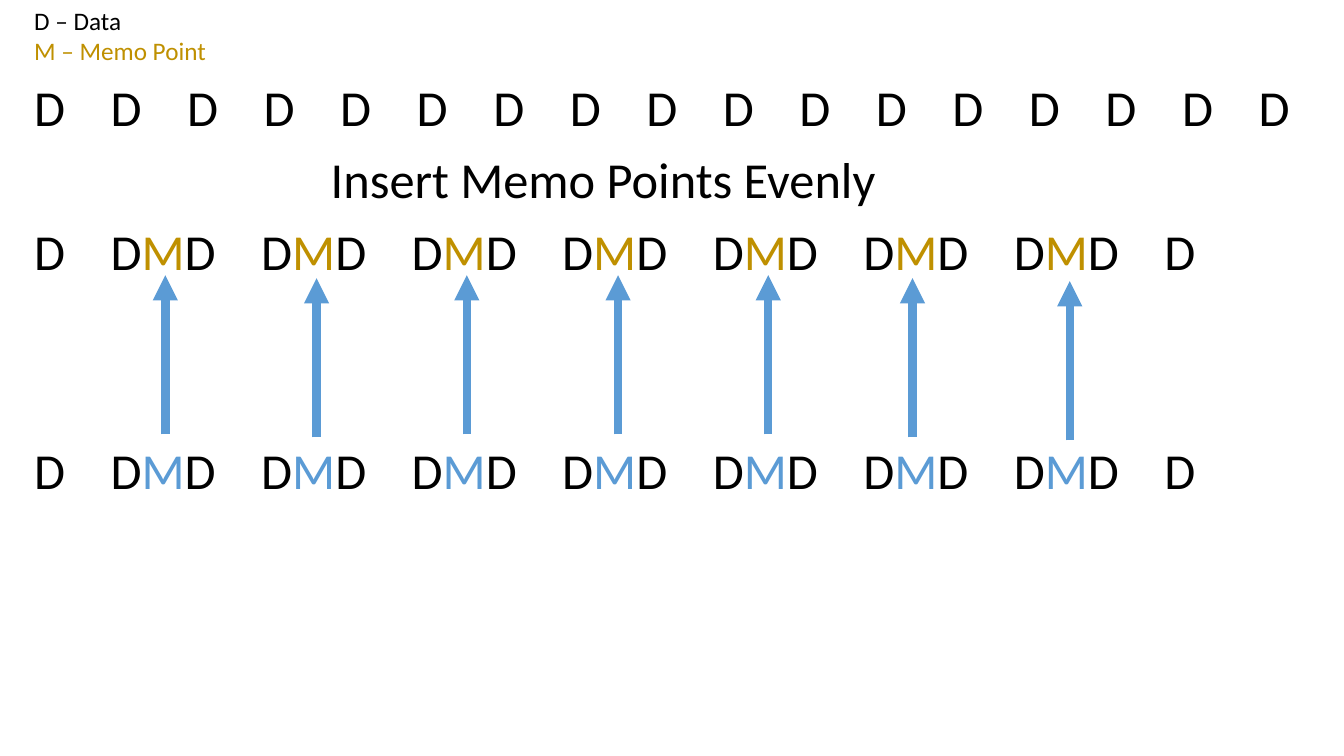
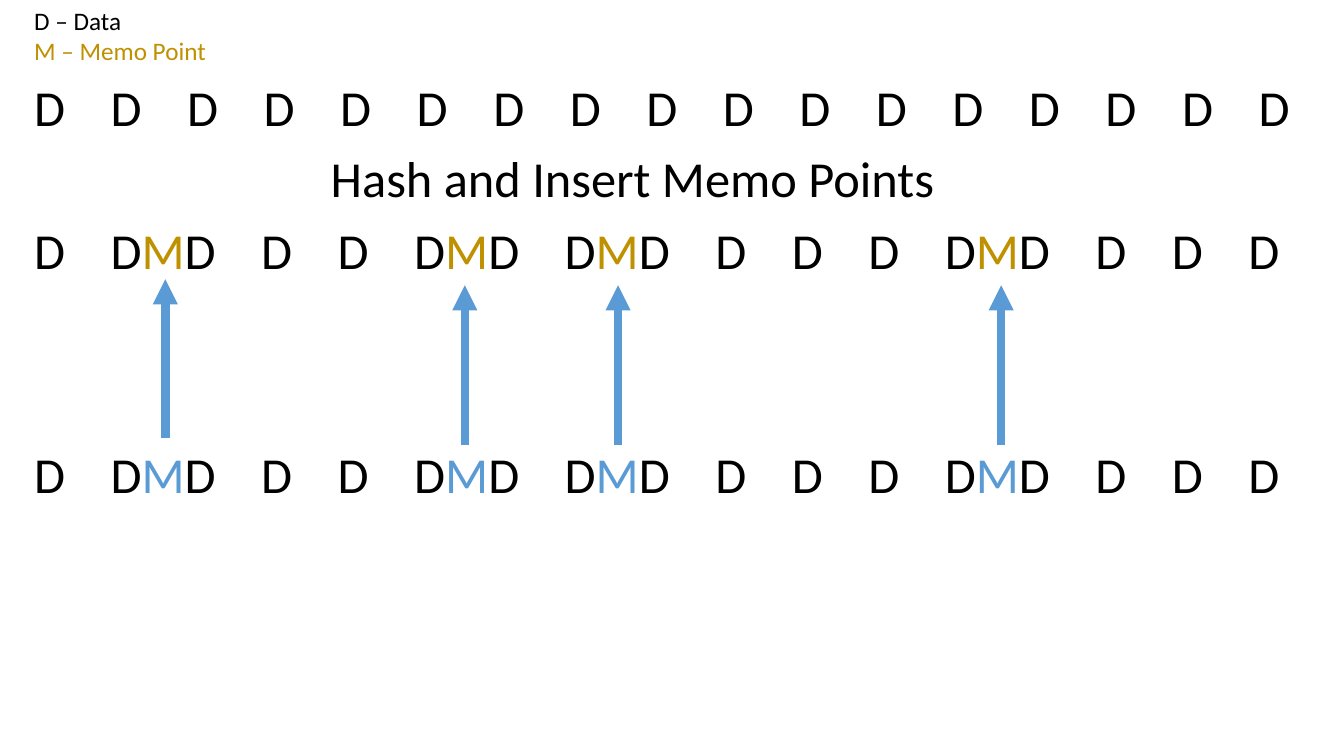
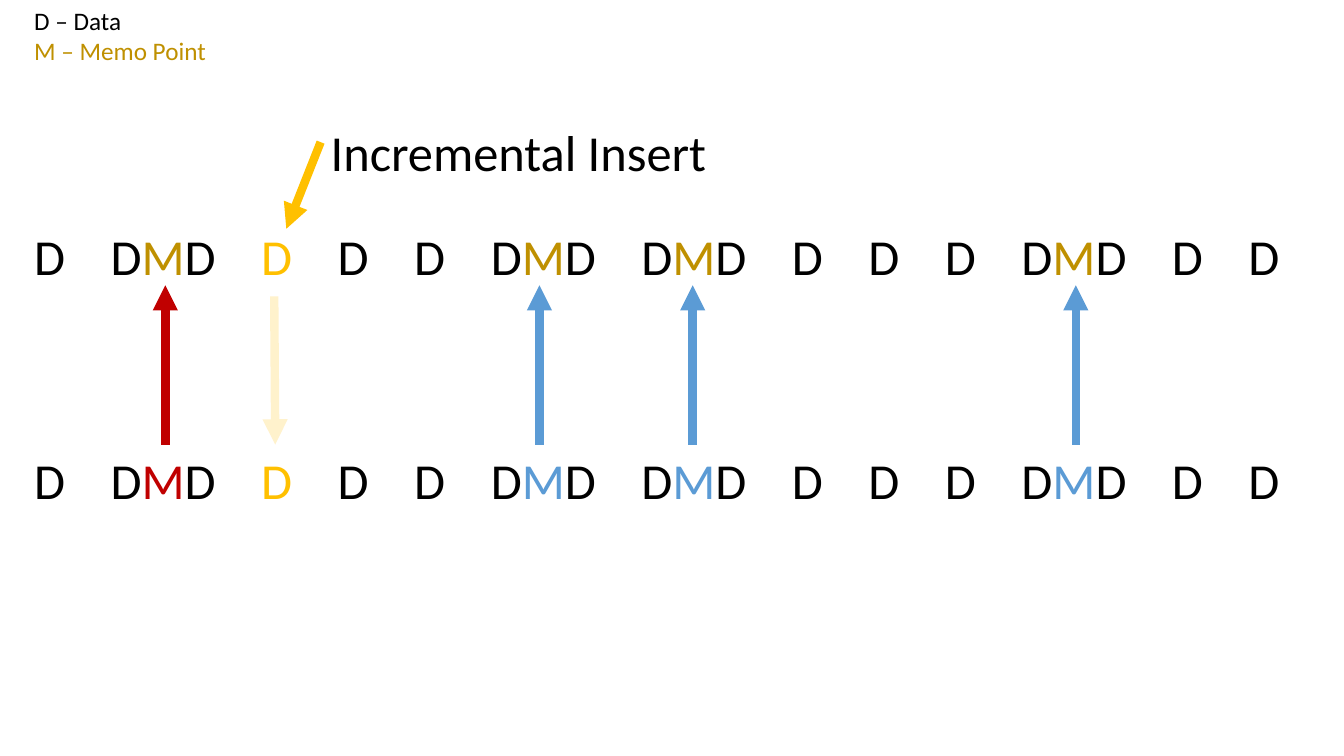
import itertools

import lxml.etree
import pptx
import pptx.dml.color
import pptx.enum.shapes
import pptx.enum.text
import pptx.oxml.ns
import pptx.util

Inches = pptx.util.Inches
Pt = pptx.util.Pt
RGBColor = pptx.dml.color.RGBColor
qn = pptx.oxml.ns.qn

BLACK = RGBColor(0x00, 0x00, 0x00)
GOLD = RGBColor(0xBF, 0x90, 0x00)
BLUE = RGBColor(0x5B, 0x9B, 0xD5)
RED = RGBColor(0xC0, 0x00, 0x00)
AMBER = RGBColor(0xFF, 0xC0, 0x00)
PALE_AMBER = RGBColor(0xFF, 0xF2, 0xCC)

FONT = "Calibri"
LEGEND_SIZE, LARGE_SIZE = Pt(18), Pt(36)
LEFT, ROW_WIDTH, ROW_HEIGHT = 0.24, 12.86, 0.71
LETTER_WIDTH = {"D": 0.307, "M": 0.427}
GROUP_GAP = 0.452
ARROW_LENGTH = 1.58

# Row codes: N is a newly inserted D, S is a stale M
LETTERS = {"D": "D", "M": "M", "N": "D", "S": "M"}
STORED = {"D": BLACK, "M": GOLD, "N": AMBER, "S": GOLD}
REHASHED = {"D": BLACK, "M": BLUE, "N": AMBER, "S": RED}

FRAME_FORMAT = {
    "word_wrap": True,
    "auto_size": pptx.enum.text.MSO_AUTO_SIZE.SHAPE_TO_FIT_TEXT,
    "vertical_anchor": pptx.enum.text.MSO_ANCHOR.TOP,
}


def set_format(target, values):
    for name, value in values.items():
        setattr(target, name, value)


def place(shape, box):
    names = ("left", "top", "width", "height")
    set_format(shape, dict(zip(names, map(Inches, box))))


def add_run(paragraph, text, size, color):
    run = paragraph.add_run()
    run.text = text
    set_format(run.font, {"name": FONT, "size": size})
    run.font.color.rgb = color


def add_legend(slide, box):
    frame = slide.shapes.add_textbox(*map(Inches, box)).text_frame
    set_format(frame, {**FRAME_FORMAT, "word_wrap": False})
    add_run(frame.paragraphs[0], "D – Data", LEGEND_SIZE, BLACK)
    add_run(frame.add_paragraph(), "M – Memo Point", LEGEND_SIZE, GOLD)


def add_heading(slide, text, box):
    heading = slide.shapes.title
    place(heading, box)
    set_format(heading.text_frame, FRAME_FORMAT)
    paragraph = heading.text_frame.paragraphs[0]
    paragraph.alignment = pptx.enum.text.PP_ALIGN.LEFT
    add_run(paragraph, text, LARGE_SIZE, BLACK)


def add_data_row(slide, codes, colors, box):
    """Groups of letters, each group starting at its own tab stop."""
    frame = slide.shapes.add_textbox(*map(Inches, box)).text_frame
    set_format(frame, FRAME_FORMAT)
    paragraph = frame.paragraphs[0]

    # Tab stops follow from the widths of the groups before them
    widths = [sum(LETTER_WIDTH[LETTERS[code]] for code in group) + GROUP_GAP
              for group in codes.split()]
    stops = lxml.etree.SubElement(paragraph._p.get_or_add_pPr(), qn("a:tabLst"))
    for position in itertools.accumulate(widths[:-1]):
        lxml.etree.SubElement(stops, qn("a:tab"),
                              pos=str(Inches(position)), algn="l")

    # One run per stretch of equal colour; gaps count as plain data
    for color, stretch in itertools.groupby(
            codes, key=lambda code: colors.get(code, BLACK)):
        text = "".join(LETTERS.get(code, "\t") for code in stretch)
        add_run(paragraph, text, LARGE_SIZE, color)


def add_arrow(slide, start, end, color):
    arrow = slide.shapes.add_connector(
        pptx.enum.shapes.MSO_CONNECTOR.STRAIGHT, *map(Inches, start + end))
    arrow.line.width = Pt(6)
    arrow.line.color.rgb = color
    properties = arrow._element.spPr
    lxml.etree.SubElement(properties.find(qn("a:ln")), qn("a:tailEnd"),
                          type="triangle")
    lxml.etree.SubElement(properties, qn("a:effectLst"))


def add_memo_arrows(slide, tips, color=BLUE):
    for x, top in tips:
        add_arrow(slide, (x, top + ARROW_LENGTH), (x, top), color)


def add_memo_slide(deck, heading, heading_top, rows):
    """Legend, heading and rows given as (codes, colours, top)."""
    slide = deck.slides.add_slide(deck.slide_layouts[5])
    add_legend(slide, (LEFT, 0, 1.92, ROW_HEIGHT))
    add_heading(slide, heading, (3.18, heading_top, 6.26, ROW_HEIGHT))
    for codes, colors, top in rows:
        add_data_row(slide, codes, colors, (LEFT, top, ROW_WIDTH, ROW_HEIGHT))
    return slide


deck = pptx.Presentation()
set_format(deck, {"slide_width": Inches(13.33), "slide_height": Inches(7.5)})
plain_data = " ".join("D" * 17)

# Evenly spaced memo points
even = " ".join(["D"] + ["DMD"] * 7 + ["D"])
even_slide = add_memo_slide(deck, "Insert Memo Points Evenly", 1.42, [
    (plain_data, STORED, 0.71), (even, STORED, 2.13), (even, REHASHED, 4.31)])
add_memo_arrows(even_slide, [
    (1.64, 2.73), (3.14, 2.76), (4.63, 2.73), (6.13, 2.73),
    (7.62, 2.73), (9.05, 2.76), (10.61, 2.79)])

# Memo points placed by hash
hashed = "D DMD D D DMD DMD D D D DMD D D D"
hash_slide = add_memo_slide(deck, "Hash and Insert Memo Points", 1.41, [
    (plain_data, STORED, 0.71), (hashed, STORED, 2.12),
    (hashed, REHASHED, 4.35)])
add_memo_arrows(hash_slide, [
    (1.64, 2.77), (4.61, 2.83), (6.13, 2.83), (9.93, 2.83)])

# One inserted datum makes one memo point stale
inserted = "D DSD N D D DMD DMD D D D DMD D D"
insert_slide = add_memo_slide(deck, "Incremental Insert", 1.15, [
    (inserted, STORED, 2.18), (inserted, REHASHED, 4.41)])
add_memo_arrows(insert_slide, [(1.64, 2.83)], RED)
add_memo_arrows(insert_slide, [(5.35, 2.83), (6.87, 2.83), (10.67, 2.83)])
add_arrow(insert_slide, (3.18, 1.41), (2.84, 2.27), AMBER)
add_arrow(insert_slide, (2.72, 2.94), (2.73, 4.41), PALE_AMBER)

deck.save("out.pptx")
